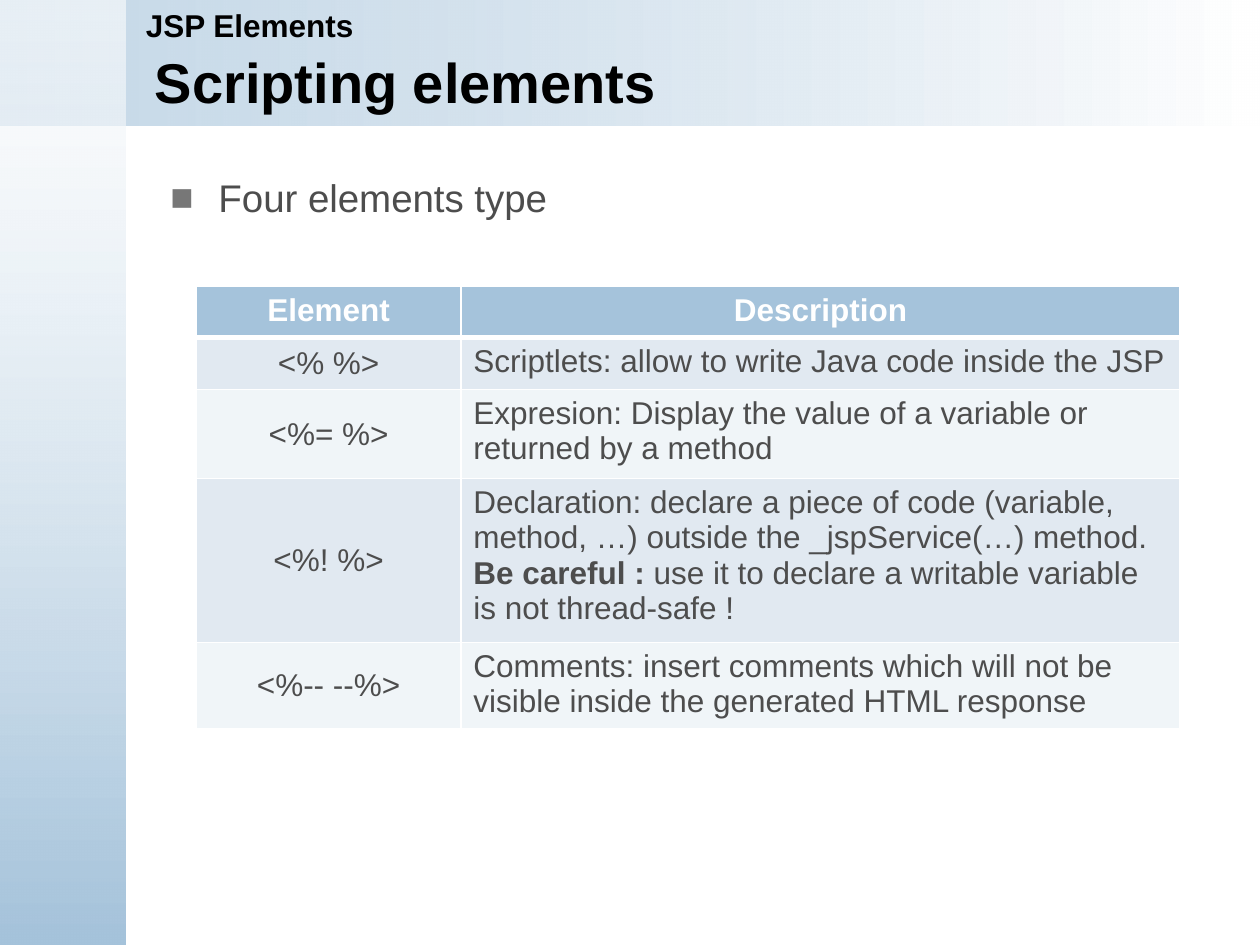
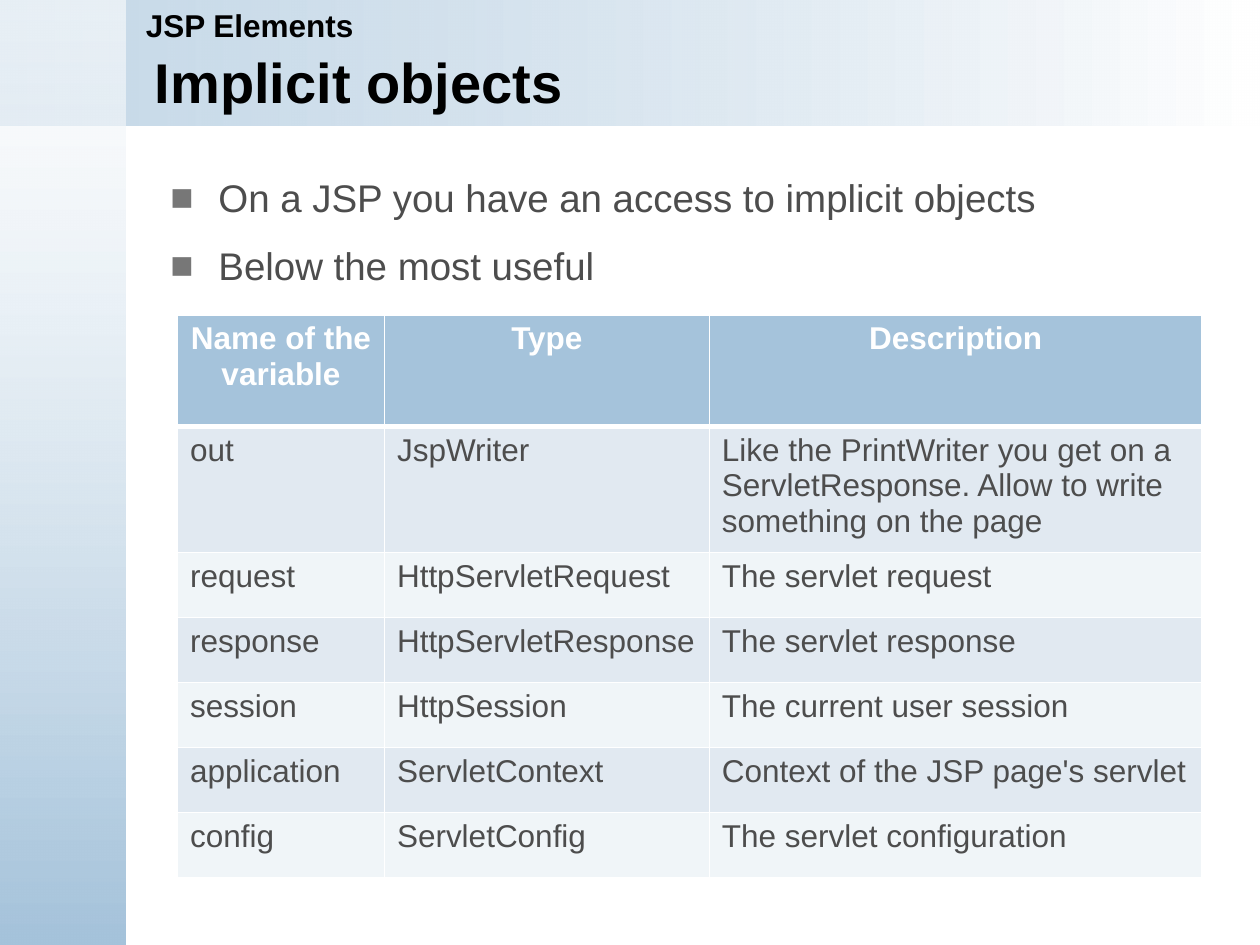
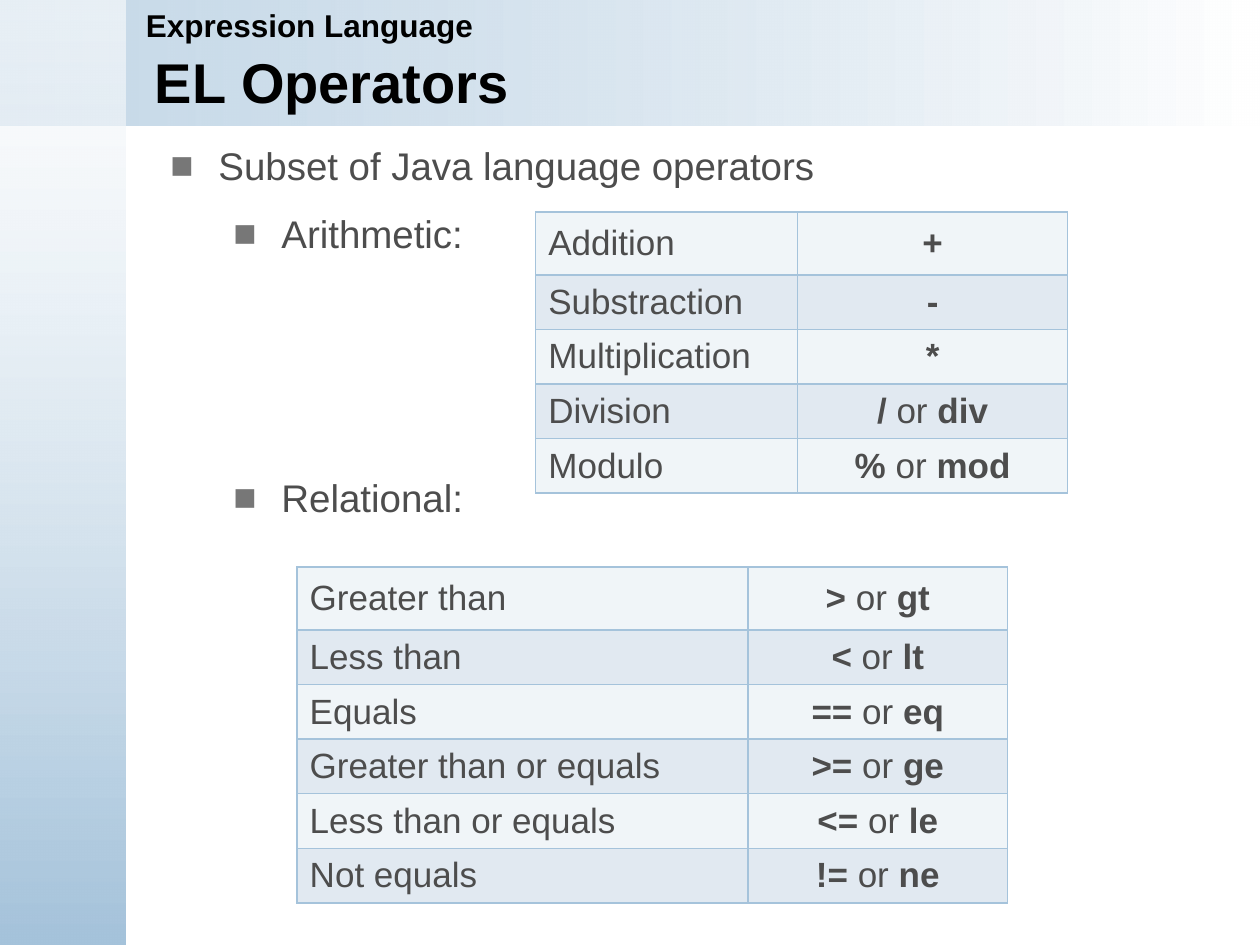
from lxml.etree import SubElement, Element
from pptx import Presentation
from pptx.dml.color import RGBColor
from pptx.enum.shapes import MSO_SHAPE as Shape
from pptx.enum.text import MSO_ANCHOR as Anchor, MSO_AUTO_SIZE as AutoSize, PP_ALIGN as Align
from pptx.oxml.ns import qn
from pptx.util import Cm, Pt

FONT = "Arial"
COLORS = {
    "accent": "A5C3DB",
    "white": "FFFFFF",
    "heading": "000000",
    "text": "4D4D4D",
    "bullet": "777777",
    "band_dark": "E1E9F1",
    "band_light": "F0F5F8",
}
SLIDE_W, SLIDE_H = 25.4, 19.05
BAND = 2.54
BULLET_HANG = 0.97
LEVEL_STEP = 1.27


def rgb(name):
    return RGBColor.from_string(COLORS[name])


# Text: a line is a string or a list of (text, bold) runs
def write(paragraph, line, size=18, color="text", bold=False, align=Align.LEFT):
    paragraph.alignment = align
    runs = [(line, bold)] if isinstance(line, str) else line
    for text, is_bold in runs:
        run = paragraph.add_run()
        run.text = text
        run.font.name = FONT
        run.font.size = Pt(size)
        run.font.bold = is_bold
        run.font.color.rgb = rgb(color)


def place(shape, left, top, width, height):
    shape.left, shape.top = Cm(left), Cm(top)
    shape.width, shape.height = Cm(width), Cm(height)


def prepare_frame(shape, anchor):
    frame = shape.text_frame
    frame.word_wrap = True
    frame.auto_size = AutoSize.NONE
    frame.vertical_anchor = anchor
    return frame


# Shared bands, kept on the layout
def add_band(slide, layout, position, width, height, stops, angle, opacity):
    band = slide.shapes.add_shape(Shape.RECTANGLE, 0, 0, Cm(width), Cm(height))
    band.shadow.inherit = False
    band.line.fill.background()
    band.fill.gradient()
    band.fill.gradient_angle = angle
    for stop, color in zip(band.fill.gradient_stops, stops):
        stop.color.rgb = rgb(color)
    first_color = band._element.xpath(".//a:gs/a:srgbClr")[0]
    SubElement(first_color, qn("a:alpha"), val=str(opacity * 1000))
    layout.shapes._spTree.insert(position, band._element)


def add_bands(slide, layout):
    add_band(slide, layout, 2, SLIDE_W, BAND, ("accent", "white"), 0, 62)
    add_band(slide, layout, 3, BAND, SLIDE_H, ("white", "accent"), 270, 59)


# Titles and bullets
def add_headings(slide, chapter, title):
    place(slide.shapes.title, 2.87, 0.91, 21.46, 1.45)
    frame = prepare_frame(slide.shapes.title, Anchor.MIDDLE)
    write(frame.paragraphs[0], title, size=32, color="heading", bold=True)
    label = slide.shapes.add_textbox(Cm(2.69), 0, Cm(22.71), Cm(1.02))
    frame = prepare_frame(label, Anchor.TOP)
    write(frame.paragraphs[0], chapter, color="heading", bold=True)


def add_bullets(slide, top, height, items):
    """Each item is (text, level, space before in points)."""
    body = slide.placeholders[1]
    place(body, 3.18, top, 21.03, height)
    frame = prepare_frame(body, Anchor.TOP)
    for index, (text, level, before) in enumerate(items):
        paragraph = frame.add_paragraph() if index else frame.paragraphs[0]
        paragraph.level = level
        paragraph.space_before, paragraph.space_after = Pt(before), Pt(7.5)
        write(paragraph, text, size=22)
        props = paragraph._p.get_or_add_pPr()
        props.set("marL", str(Cm(BULLET_HANG + level * LEVEL_STEP)))
        props.set("indent", str(-Cm(BULLET_HANG)))
        bullet_color = SubElement(props, qn("a:buClr"))
        SubElement(bullet_color, qn("a:srgbClr"), val=COLORS["bullet"])
        SubElement(props, qn("a:buFont"), typeface=FONT)
        SubElement(props, qn("a:buChar"), char="■")


# Tables
def set_borders(cell, color, top=1, bottom=1):
    props = cell._tc.get_or_add_tcPr()
    sides = (("L", 1), ("R", 1), ("T", top), ("B", bottom))
    for index, (side, points) in enumerate(sides):
        line = Element(qn("a:ln" + side), w=str(Pt(points)))
        fill = SubElement(line, qn("a:solidFill"))
        SubElement(fill, qn("a:srgbClr"), val=COLORS[color])
        props.insert(index, line)


def fill_cell(cell, content, fill, anchor=Anchor.TOP, **text_format):
    cell.fill.solid()
    cell.fill.fore_color.rgb = rgb(fill)
    cell.vertical_anchor = anchor
    lines = content if isinstance(content, tuple) else (content,)
    for index, line in enumerate(lines):
        frame = cell.text_frame
        paragraph = frame.add_paragraph() if index else frame.paragraphs[0]
        write(paragraph, line, **text_format)


def add_grid(slide, left, top, widths, heights, rows, header=None, border="white",
             centered=None, middle=(), size=18):
    """centered: the centred column; middle: columns anchored in the middle."""
    all_rows = ([header] if header else []) + rows
    table = slide.shapes.add_table(
        len(all_rows), len(widths), Cm(left), Cm(top),
        Cm(sum(widths)), Cm(sum(heights))).table
    table.first_row = bool(header)
    table.horz_banding = False
    for column, width in zip(table.columns, widths):
        column.width = Cm(width)
    for r, (row, height) in enumerate(zip(all_rows, heights)):
        table.rows[r].height = Cm(height)
        for c, content in enumerate(row):
            cell = table.cell(r, c)
            if header and r == 0:
                fill_cell(cell, content, "accent", size=size, color="white",
                          bold=True, align=Align.CENTER)
                set_borders(cell, border, bottom=3)
                continue
            fill_cell(cell, content, "band_dark" if r % 2 else "band_light",
                      anchor=Anchor.MIDDLE if c in middle else Anchor.TOP, size=size,
                      align=Align.CENTER if c == centered else Align.LEFT)
            set_borders(cell, border, top=3 if header and r == 1 else 1)


def add_operators(slide, left, top, widths, rows):
    heights = [1.27] + [1.1] * (len(rows) - 1)
    add_grid(slide, left, top, widths, heights, rows, border="accent",
             centered=1, middle=(0, 1), size=20)


def symbol(sign, word=None):
    return [(sign, True)] + ([(" or ", False), (word, True)] if word else [])


# Slides
def scripting_elements(slide):
    add_headings(slide, "JSP Elements", "Scripting elements")
    add_bullets(slide, 3.38, 1.19, [("Four elements type", 0, 5)])
    add_grid(
        slide, 3.96, 5.77, (5.33, 14.5), (1.04, 1.04, 1.8, 3.3, 1.75),
        [("<% %>", "Scriptlets: allow to write Java code inside the JSP"),
         ("<%= %>", "Expresion: Display the value of a variable or returned by a method"),
         ("<%! %>",
          ("Declaration: declare a piece of code (variable, method, …) "
           "outside the _jspService(…) method.",
           [("Be careful :", True),
            (" use it to declare a writable variable is not thread-safe !", False)])),
         ("<%-- --%>", "Comments: insert comments which will not be visible "
                       "inside the generated HTML response")],
        header=("Element", "Description"), centered=0, middle=(0,))


def implicit_objects(slide):
    add_headings(slide, "JSP Elements", "Implicit objects")
    add_bullets(slide, 3.38, 2.62, [
        ("On a JSP you have an access to implicit objects", 0, 5),
        ("Below the most useful", 0, 5)])
    add_grid(
        slide, 3.58, 6.35, (4.17, 6.55, 9.93), [2.25, 2.54] + [1.31] * 5,
        [("out", "JspWriter", "Like the PrintWriter you get on a ServletResponse. "
                              "Allow to write something on the page"),
         ("request", "HttpServletRequest", "The servlet request"),
         ("response", "HttpServletResponse", "The servlet response"),
         ("session", "HttpSession", "The current user session"),
         ("application", "ServletContext", "Context of the JSP page's servlet"),
         ("config", "ServletConfig", "The servlet configuration")],
        header=("Name of the variable", "Type", "Description"))


def el_operators(slide):
    add_headings(slide, "Expression Language", "EL Operators")
    add_bullets(slide, 2.74, 15.29, [
        ("Subset of Java language operators", 0, 5),
        ("Arithmetic:", 1, 5),
        ("Relational:", 1, 117)])
    add_operators(slide, 10.8, 4.27, (5.28, 5.44), [
        ("Addition", symbol("+")),
        ("Substraction", symbol("-")),
        ("Multiplication", symbol("*")),
        ("Division", symbol("/", "div")),
        ("Modulo", symbol("%", "mod"))])
    add_operators(slide, 5.99, 11.43, (9.09, 5.23), [
        ("Greater than", symbol(">", "gt")),
        ("Less than", symbol("<", "lt")),
        ("Equals", symbol("==", "eq")),
        ("Greater than or equals", symbol(">=", "ge")),
        ("Less than or equals", symbol("<=", "le")),
        ("Not equals", symbol("!=", "ne"))])


def main():
    deck = Presentation()
    deck.slide_width, deck.slide_height = Cm(SLIDE_W), Cm(SLIDE_H)
    layout = deck.slide_layouts[1]
    builders = (scripting_elements, implicit_objects, el_operators)
    slides = [deck.slides.add_slide(layout) for _ in builders]
    add_bands(slides[0], layout)
    for build, slide in zip(builders, slides):
        build(slide)
    deck.save("out.pptx")


main()
